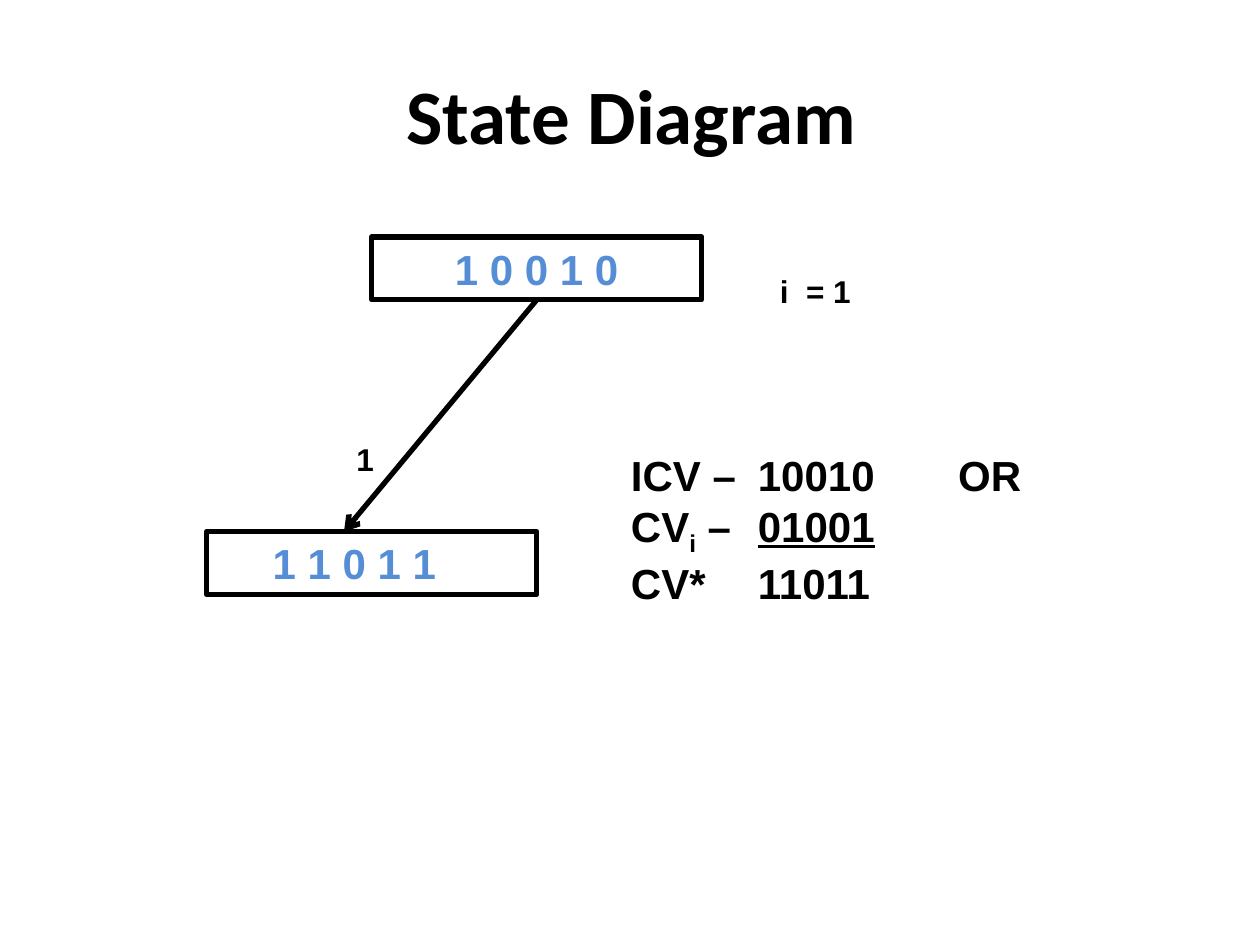
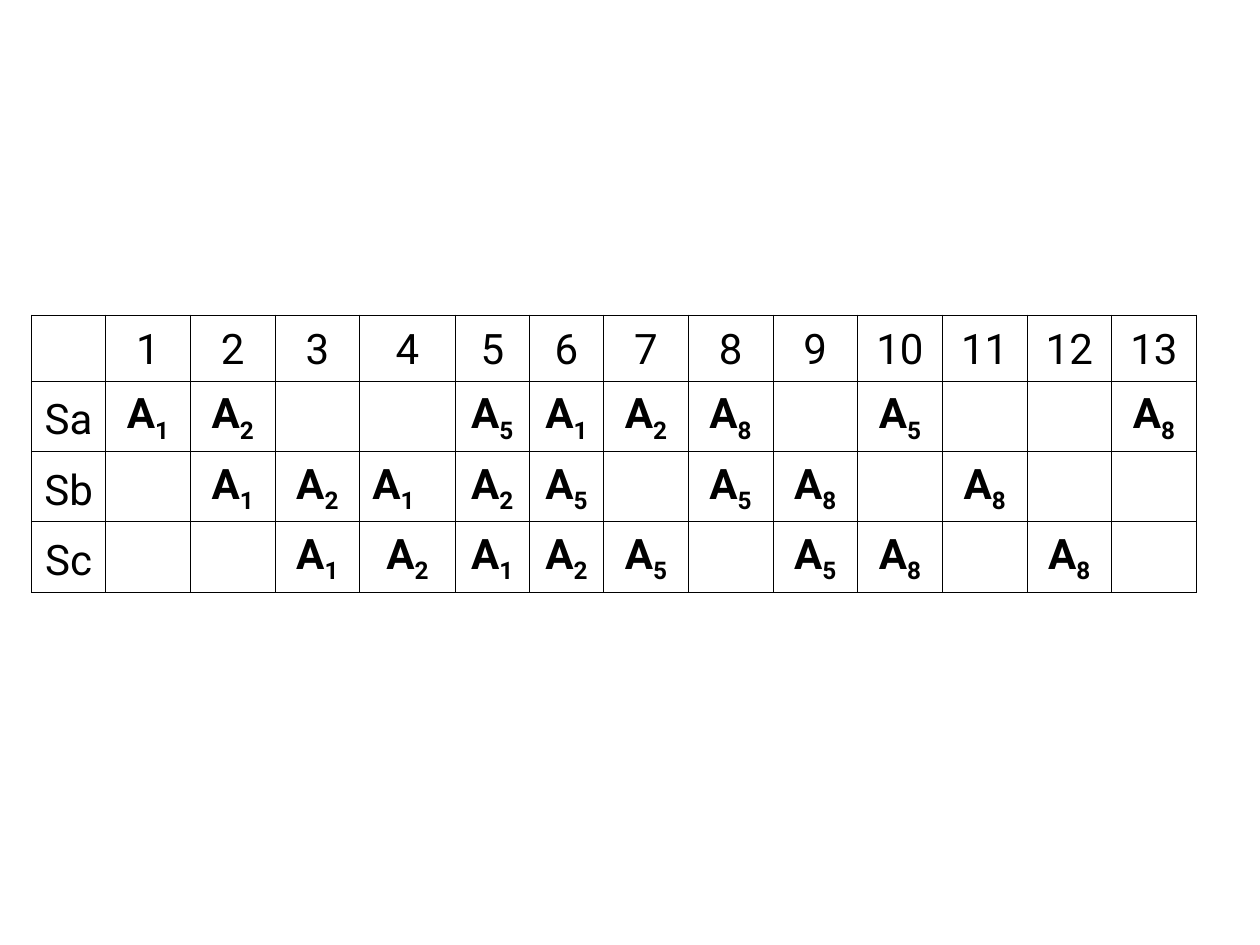
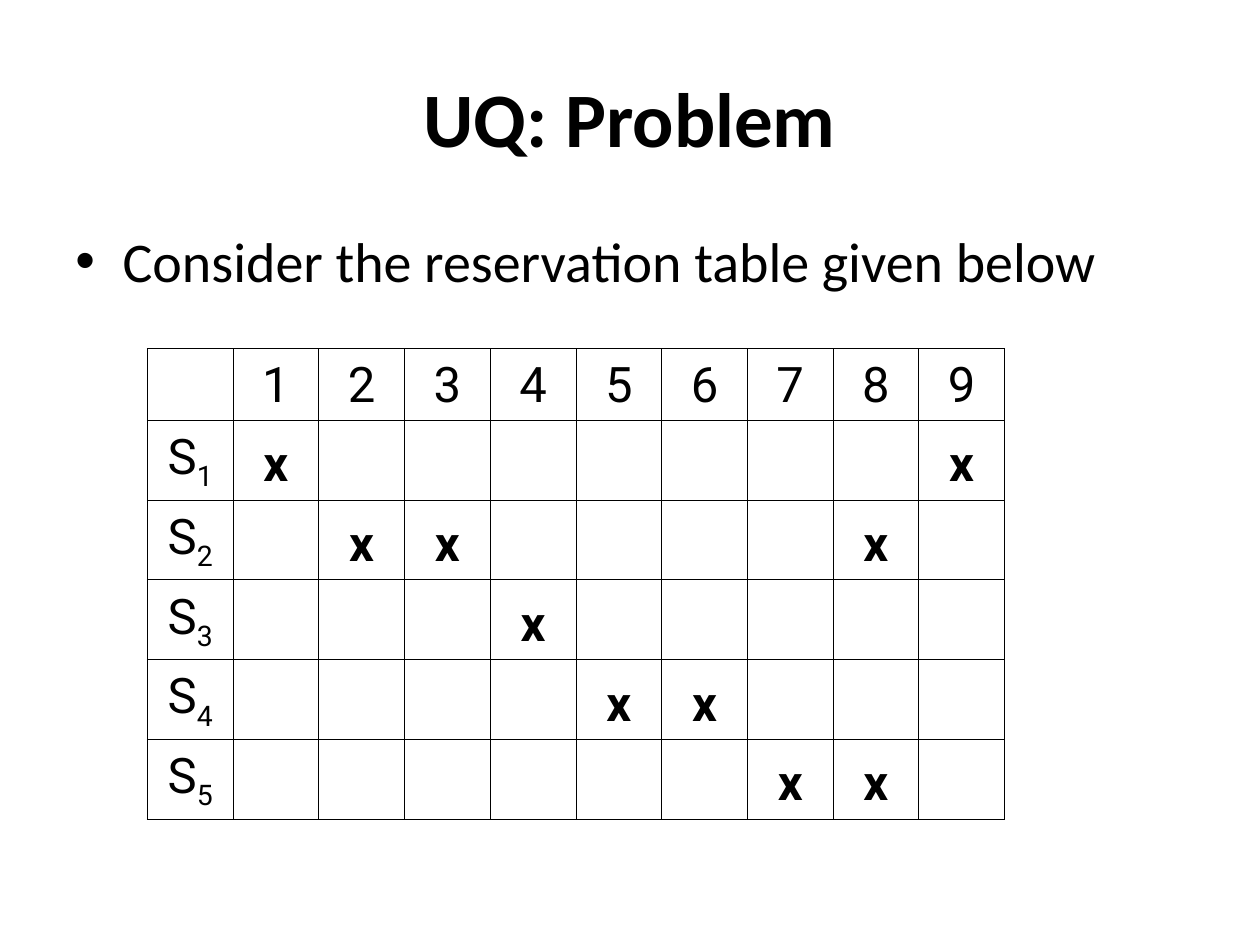
import pptx
import pptx.util
import pptx.dml.color
import pptx.enum.shapes
import pptx.enum.text
import pptx.oxml
import pptx.oxml.ns

Pt = pptx.util.Pt
ALIGN = pptx.enum.text.PP_ALIGN
ANCHOR = pptx.enum.text.MSO_ANCHOR

COLORS = {"ink": "000000", "state": "558ED5"}
TITLE_FONT, DIAGRAM_FONT, TABLE_FONT = "Calibri", "Arial", "Roboto"
TITLE_ONLY, BLANK = 5, 6


def rgb(name):
    return pptx.dml.color.RGBColor.from_string(COLORS[name])


def append_xml(parent, tag, **attrs):
    """Append an element such as a:tab, with its attributes, to parent."""
    child = pptx.oxml.parse_xml(f"<{tag} {pptx.oxml.ns.nsdecls('a')}/>")
    for key, value in attrs.items():
        child.set(key, str(value))
    parent.append(child)
    return child


def format_run(r, font, size, bold=False, color="ink"):
    r.font.name = font
    r.font.size = Pt(size)
    r.font.bold = bold
    r.font.color.rgb = rgb(color)


def add_runs(p, parts, font, size, bold=False):
    """Add runs; a part is plain text or a (text, "sub" or "underline") pair."""
    for part in parts:
        text, style = (part, "") if isinstance(part, str) else part
        r = p.add_run()
        r.text = text
        format_run(r, font, size, bold)
        if style == "underline":
            r.font.underline = True
        elif style == "sub":
            r.font._element.set("baseline", "-25000")


def set_tabs(p, stops):
    tabs = append_xml(p._p.get_or_add_pPr(), "a:tabLst")
    for stop in stops:
        append_xml(tabs, "a:tab", pos=Pt(stop), algn="l")


def add_title(s, text, left, top):
    sp = s.shapes.title
    sp.left, sp.top, sp.width, sp.height = Pt(left), Pt(top), Pt(648), Pt(90)
    tf = sp.text_frame
    tf.text = text
    tf.vertical_anchor = ANCHOR.MIDDLE
    p = tf.paragraphs[0]
    p.alignment = ALIGN.CENTER
    format_run(p.runs[0], TITLE_FONT, 44, True)


def add_label(s, left, top, width, height, lines, size, tabs=()):
    """Add a bold text box; each line is a list of parts for add_runs."""
    tf = s.shapes.add_textbox(Pt(left), Pt(top), Pt(width), Pt(height)).text_frame
    tf.word_wrap = True
    for i, parts in enumerate(lines):
        p = tf.add_paragraph() if i else tf.paragraphs[0]
        add_runs(p, parts, DIAGRAM_FONT, size, True)
        if tabs:
            set_tabs(p, tabs)


def add_bullet(s, left, top, width, height, text):
    tf = s.shapes.add_textbox(Pt(left), Pt(top), Pt(width), Pt(height)).text_frame
    tf.word_wrap = True
    tf.text = text
    p = tf.paragraphs[0]
    p.space_before = Pt(8)
    pPr = p._p.get_or_add_pPr()
    pPr.set("marL", str(Pt(27)))
    pPr.set("indent", str(-Pt(27)))
    append_xml(pPr, "a:buFont", typeface="Arial")
    append_xml(pPr, "a:buChar", char="•")
    format_run(p.runs[0], TITLE_FONT, 32)


def add_state(s, left, top, bits, right_inset=7.2):
    sp = s.shapes.add_shape(pptx.enum.shapes.MSO_SHAPE.RECTANGLE,
                            Pt(left), Pt(top), Pt(188.6), Pt(36))
    sp.shadow.inherit = False
    sp.fill.background()
    sp.line.color.rgb = rgb("ink")
    sp.line.width = Pt(3)
    tf = sp.text_frame
    tf.text = bits
    tf.margin_right = Pt(right_inset)
    p = tf.paragraphs[0]
    p.alignment = ALIGN.CENTER
    format_run(p.runs[0], DIAGRAM_FONT, 24, True, "state")
    return sp


def add_transition(s, state, end_x, end_y):
    """Draw an arrow from the bottom of a state to a point."""
    c = s.shapes.add_connector(pptx.enum.shapes.MSO_CONNECTOR.STRAIGHT,
                               0, 0, Pt(end_x), Pt(end_y))
    c.begin_connect(state, 2)
    c.line.color.rgb = rgb("ink")
    c.line.width = Pt(3)
    append_xml(c.line._get_or_add_ln(), "a:tailEnd", type="arrow")
    append_xml(c._element.spPr, "a:effectLst")


def add_borders(cell):
    tcPr = cell._tc.get_or_add_tcPr()
    for side in ("lnL", "lnR", "lnT", "lnB"):
        ln = append_xml(tcPr, f"a:{side}", w=Pt(0.45))
        append_xml(append_xml(ln, "a:solidFill"), "a:srgbClr", val=COLORS["ink"])


def add_reservation_table(s, left, top, widths, heights, stages, size):
    """Number the time slots in the header; "." is a free slot, "_" a subscript."""
    slots = range(1, len(widths))
    rows = [["."] + [str(n) for n in slots]] + [line.split() for line in stages]
    table = s.shapes.add_table(len(heights), len(widths), Pt(left), Pt(top),
                               Pt(sum(widths)), Pt(sum(heights))).table
    table.first_row = table.horz_banding = False
    for column, width in zip(table.columns, widths):
        column.width = Pt(width)
    for row, height in zip(table.rows, heights):
        row.height = Pt(height)
    for i, row in enumerate(rows):
        for j, entry in enumerate(row):
            cell = table.cell(i, j)
            add_borders(cell)
            cell.fill.background()
            cell.vertical_anchor = ANCHOR.BOTTOM
            if entry == ".":
                continue
            p = cell.text_frame.paragraphs[0]
            p.alignment = ALIGN.CENTER
            base, _, index = entry.partition("_")
            parts = [base, (index, "sub")] if index else [base]
            add_runs(p, parts, TABLE_FONT, size, bold=i > 0 and j > 0)
    return table


def build_state_diagram(prs):
    s = prs.slides.add_slide(prs.slide_layouts[TITLE_ONLY])
    add_title(s, "State Diagram", 36.7, 20.2)
    initial = add_state(s, 212.4, 135.4, "1 0 0 1 0")
    add_state(s, 118.1, 303.8, "1 1 0 1 1", right_inset=27)
    add_transition(s, initial, 196.6, 303.8)
    add_label(s, 353.5, 253.4, 309.6, 98, [
        ["ICV –\t10010\tOR"],
        ["CV", ("i", "sub"), " –\t", ("01001", "underline")],
        ["CV*\t11011"],
    ], 24, tabs=(72.5, 187))
    add_label(s, 438.5, 152, 62, 29, [["i\t= 1"]], 18, tabs=(15,))
    add_label(s, 196.6, 247.7, 39.6, 29, [["1"]], 18)


def build_schedule(prs):
    s = prs.slides.add_slide(prs.slide_layouts[BLANK])
    narrow, normal, wide = 42.4, 48.4, 54.6
    widths = [narrow] + [normal] * 3 + [wide] + [narrow] * 2 + [normal] * 7
    table = add_reservation_table(s, 18, 180, widths, [37.8] + [40.2] * 3, [
        "Sa A_1 A_2 . . A_5 A_1 A_2 A_8 . A_5 . . A_8",
        "Sb . A_1 A_2 A_1 A_2 A_5 . A_5 A_8 . A_8 . .",
        "Sc . . A_1 A_2 A_1 A_2 A_5 . A_5 A_8 . A_8 .",
    ], 24)
    table.cell(2, 4).text_frame.paragraphs[0].alignment = ALIGN.LEFT


def build_problem(prs):
    s = prs.slides.add_slide(prs.slide_layouts[TITLE_ONLY])
    add_title(s, "UQ: Problem", 36, 21.6)
    add_bullet(s, 36, 126, 648, 386, "Consider the reservation table given below")
    add_reservation_table(s, 84.2, 199.2, [49] * 10, [41] + [45.6] * 5, [
        "S_1 x . . . . . . . x",
        "S_2 . x x . . . . x .",
        "S_3 . . . x . . . . .",
        "S_4 . . . . x x . . .",
        "S_5 . . . . . . x x .",
    ], 28)


def main():
    prs = pptx.Presentation()
    prs.slide_width, prs.slide_height = Pt(720), Pt(540)
    build_state_diagram(prs)
    build_schedule(prs)
    build_problem(prs)
    prs.save("out.pptx")


if __name__ == "__main__":
    main()
